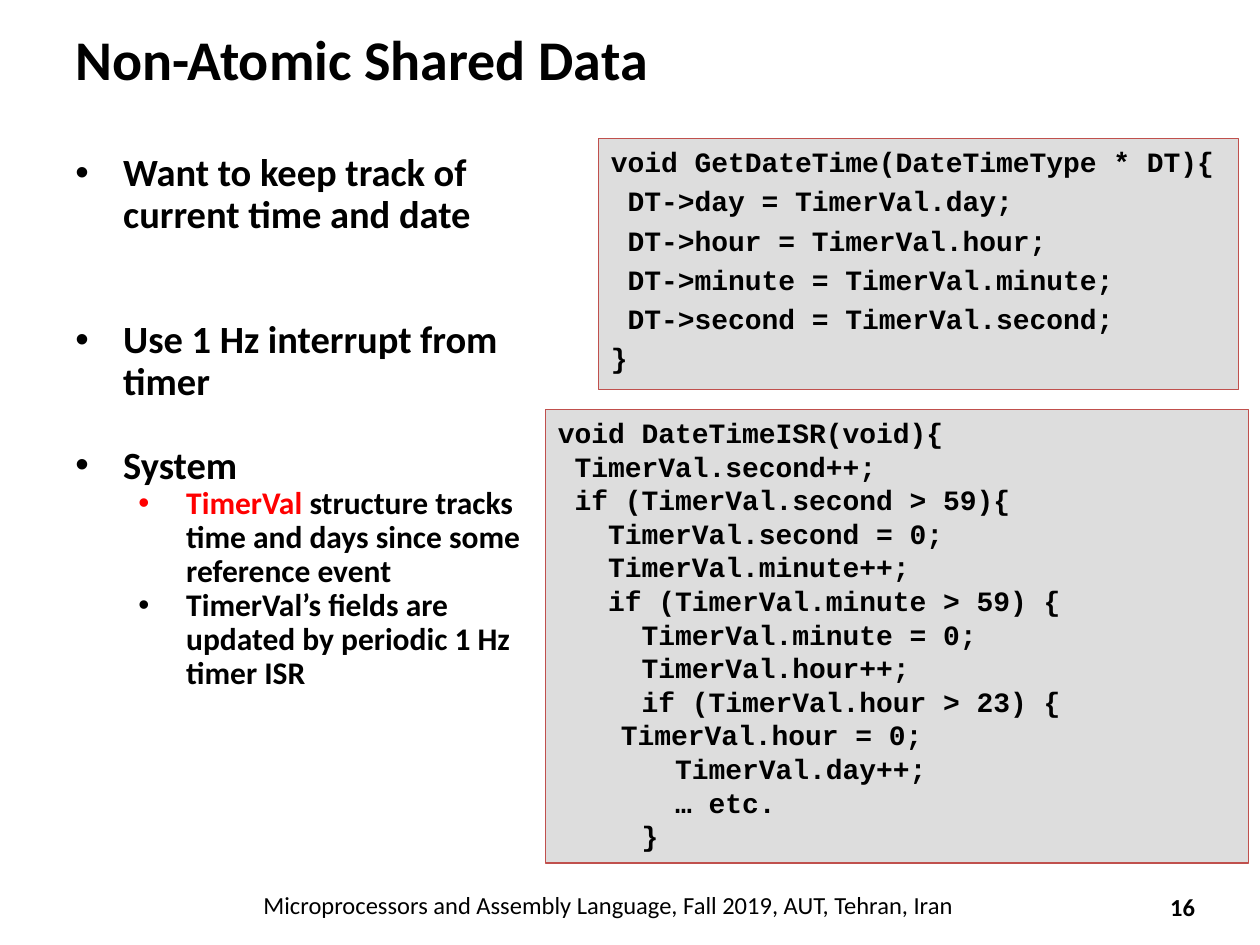
from pptx import Presentation
from pptx.dml.color import RGBColor
from pptx.enum.shapes import MSO_SHAPE
from pptx.enum.text import MSO_ANCHOR, PP_ALIGN
from pptx.util import Inches, Pt
from lxml.etree import SubElement
from pptx.oxml.ns import qn


def color(hex_string):
    return RGBColor.from_string(hex_string)


def write(paragraph, text, size, font="Calibri", bold=True):
    paragraph.text = text
    paragraph.font.size = Pt(size)
    paragraph.font.name = font
    paragraph.font.bold = bold
    paragraph.font.color.rgb = color("000000")


prs = Presentation()
prs.slide_width, prs.slide_height = Inches(10), Inches(7.5)
slide = prs.slides.add_slide(prs.slide_layouts[6])

# Title, page number and footer
single_lines = [
    ("Non-Atomic Shared Data", 0.5, 0, 9, 0.92, 32, True, PP_ALIGN.LEFT),
    ("16", 9.09, 7, 0.59, 0.4, 14, True, PP_ALIGN.CENTER),
    ("Microprocessors and Assembly Language, Fall 2019, AUT, Tehran, Iran",
     1.08, 7.01, 7.5, 0.34, 14, False, PP_ALIGN.CENTER),
]
for text, left, top, width, height, size, bold, align in single_lines:
    frame = slide.shapes.add_textbox(
        Inches(left), Inches(top), Inches(width), Inches(height)).text_frame
    frame.word_wrap = True
    frame.vertical_anchor = MSO_ANCHOR.MIDDLE
    write(frame.paragraphs[0], text, size, bold=bold)
    frame.paragraphs[0].alignment = align

# Bullets: text, level, space before in points
bullets = [
    ("Want to keep track of current time and date", 0, 0),
    ("Use 1 Hz interrupt from timer", 0, 48),
    ("System", 0, 24),
    ("structure tracks time and days since some reference event", 1, 0),
    ("TimerVal’s fields are updated by periodic 1 Hz timer ISR", 1, 0),
]
points = slide.shapes.add_textbox(
    Inches(0.5), Inches(1.17), Inches(3.83), Inches(5.13)).text_frame
points.word_wrap = True
for i, (text, level, gap) in enumerate(bullets):
    point = points.add_paragraph() if i else points.paragraphs[0]
    point.level = level
    point.line_spacing = 0.9
    point.space_before = Pt(gap)
    properties = point._p.get_or_add_pPr()
    properties.set("marL", str(Inches(0.38 + 0.5 * level)))
    properties.set("indent", str(Inches(-0.38)))
    SubElement(properties, qn("a:buFont"), typeface="Arial")
    SubElement(properties, qn("a:buChar"), char="•")
    if text.startswith("structure"):
        # The variable name stands out in red
        point.add_run().text = "TimerVal "
        point.add_run().text = text
        for run, shade in zip(point.runs, ("FF0000", "000000")):
            run.font.color.rgb = color(shade)
        point.font.size, point.font.name = Pt(18), "Calibri"
        point.font.bold = True
    else:
        write(point, text, 18 if level else 22)

# Code panels
get_date_time = """void GetDateTime(DateTimeType * DT){
 DT->day = TimerVal.day;
 DT->hour = TimerVal.hour;
 DT->minute = TimerVal.minute;
 DT->second = TimerVal.second;
}"""
date_time_isr = """void DateTimeISR(void){
 TimerVal.second++;
 if (TimerVal.second > 59){
   TimerVal.second = 0;
   TimerVal.minute++;
   if (TimerVal.minute > 59) {
     TimerVal.minute = 0;
     TimerVal.hour++;
     if (TimerVal.hour > 23) {
\tTimerVal.hour = 0;
       TimerVal.day++;
       … etc.
     }"""
panels = [
    (get_date_time, 4.75, 1.1, 5.08, 1.99, 3.2),
    (date_time_isr, 4.33, 3.25, 5.58, 3.6, 0),
]
for code, left, top, width, height, gap in panels:
    panel = slide.shapes.add_shape(
        MSO_SHAPE.RECTANGLE,
        Inches(left), Inches(top), Inches(width), Inches(height))
    panel.shadow.inherit = False
    panel.fill.solid()
    panel.fill.fore_color.rgb = color("DDDDDD")
    panel.line.color.rgb = color("C0504D")
    panel.line.width = Pt(0.75)
    frame = panel.text_frame
    frame.word_wrap = True
    frame.vertical_anchor = MSO_ANCHOR.TOP
    for i, text in enumerate(code.split("\n")):
        code_line = frame.add_paragraph() if i else frame.paragraphs[0]
        code_line.alignment = PP_ALIGN.LEFT
        code_line.space_before = Pt(gap if i else 0)
        write(code_line, text, 16, "Courier New")

prs.save("out.pptx")
